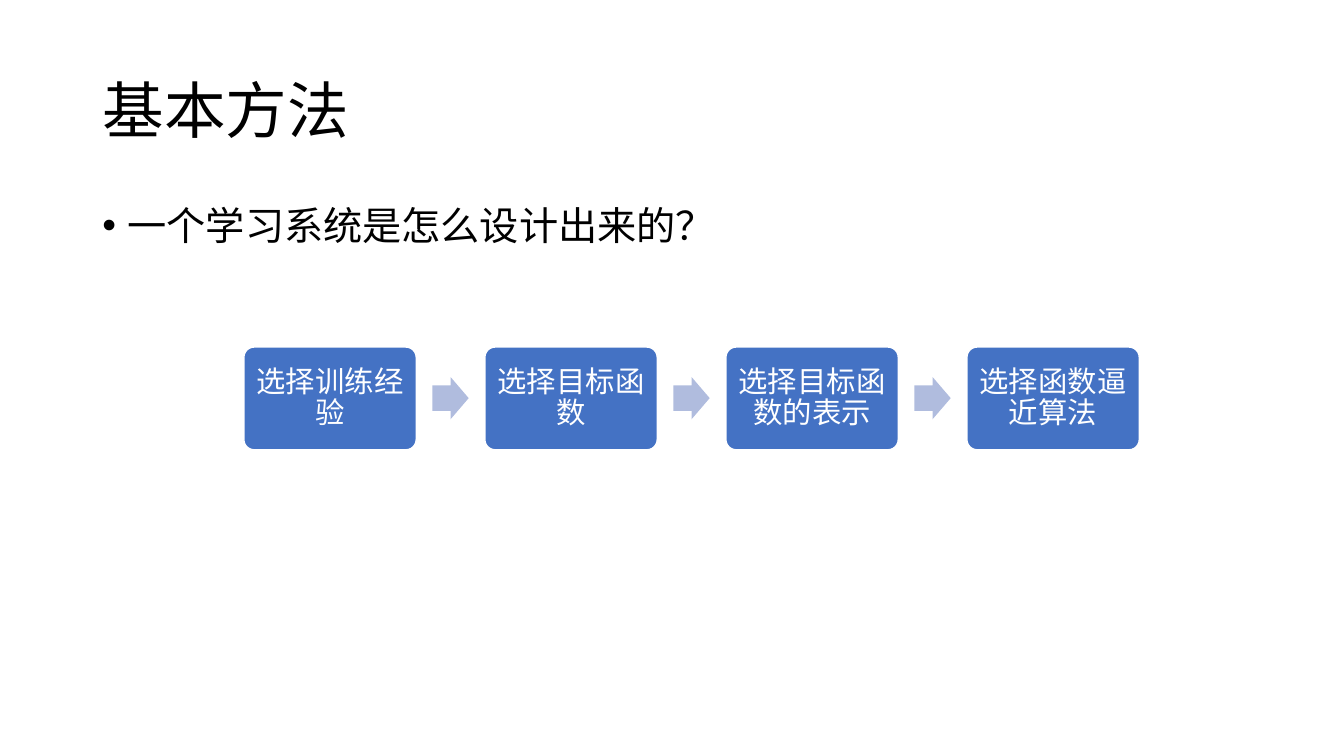
from dataclasses import dataclass

from lxml.etree import SubElement
from pptx import Presentation
from pptx.dml.color import RGBColor
from pptx.enum.shapes import MSO_SHAPE
from pptx.enum.text import MSO_ANCHOR, PP_ALIGN
from pptx.oxml.ns import qn
from pptx.shapes.base import BaseShape
from pptx.shapes.group import GroupShape
from pptx.text.text import _Paragraph as Paragraph
from pptx.util import Pt


@dataclass(frozen=True)
class Theme:
    font: str = "Calibri"
    text: RGBColor = RGBColor(0x00, 0x00, 0x00)
    light: RGBColor = RGBColor(0xFF, 0xFF, 0xFF)
    step: RGBColor = RGBColor(0x44, 0x72, 0xC4)
    arrow: RGBColor = RGBColor(0xB0, 0xBC, 0xDE)
    title_size: float = 44
    body_size: float = 28
    step_size: float = 21


@dataclass(frozen=True)
class Box:
    left: float
    top: float
    width: float
    height: float

    def shifted(self, distance: float) -> "Box":
        return Box(self.left + distance, self.top, self.width, self.height)


THEME = Theme()
TITLE_BOX = Box(66, 28.75, 828, 104.4)
BODY_BOX = Box(66, 143.75, 828, 342.6)
FIRST_STEP = Box(174.2, 247.9, 123.1, 73.4)
FIRST_ARROW = Box(308.9, 269.3, 25.9, 30.2)
STEP_PITCH = 172.15
STEP_INSET = 6.5
BULLET_INDENT = 18
STEPS = ("选择训练经验", "选择目标函数", "选择目标函数的表示", "选择函数逼近算法")


def place(shape: BaseShape, box: Box) -> None:
    shape.left, shape.top = Pt(box.left), Pt(box.top)
    shape.width, shape.height = Pt(box.width), Pt(box.height)


def write(paragraph: Paragraph, text: str, size: float, color: RGBColor,
          alignment: PP_ALIGN = PP_ALIGN.LEFT, space_before: float = 0) -> None:
    paragraph.alignment = alignment
    paragraph.line_spacing = 0.9
    paragraph.space_before = Pt(space_before)
    run = paragraph.add_run()
    run.text = text
    run.font.name = THEME.font
    run.font.size = Pt(size)
    run.font.color.rgb = color


def add_bullet(paragraph: Paragraph) -> None:
    properties = paragraph._p.get_or_add_pPr()
    properties.set("marL", str(Pt(BULLET_INDENT)))
    properties.set("indent", str(-Pt(BULLET_INDENT)))
    SubElement(properties, qn("a:buFont"), typeface="Arial")
    SubElement(properties, qn("a:buChar"), char="•")


def add_filled_shape(group: GroupShape, kind: MSO_SHAPE, box: Box,
                     color: RGBColor, adjustments: tuple[float, ...]) -> BaseShape:
    shape = group.shapes.add_shape(kind, Pt(box.left), Pt(box.top), Pt(box.width), Pt(box.height))
    for index, value in enumerate(adjustments):
        shape.adjustments[index] = value
    shape.shadow.inherit = False
    shape.fill.solid()
    shape.fill.fore_color.rgb = color
    shape.line.fill.background()
    return shape


def add_step(group: GroupShape, text: str, box: Box) -> None:
    shape = add_filled_shape(group, MSO_SHAPE.ROUNDED_RECTANGLE, box, THEME.step, (0.1,))
    shape.line.color.rgb = THEME.light
    shape.line.width = Pt(1)
    frame = shape.text_frame
    frame.word_wrap = True
    frame.vertical_anchor = MSO_ANCHOR.MIDDLE
    frame.margin_left = frame.margin_right = Pt(STEP_INSET)
    frame.margin_top = frame.margin_bottom = Pt(STEP_INSET)
    write(frame.paragraphs[0], text, THEME.step_size, THEME.light, PP_ALIGN.CENTER)


def main() -> None:
    presentation = Presentation()
    presentation.slide_width, presentation.slide_height = Pt(960), Pt(540)
    slide = presentation.slides.add_slide(presentation.slide_layouts[1])

    # Title
    title = slide.shapes.title
    place(title, TITLE_BOX)
    title.text_frame.vertical_anchor = MSO_ANCHOR.MIDDLE
    write(title.text_frame.paragraphs[0], "基本方法", THEME.title_size, THEME.text)

    # Question
    body = slide.placeholders[1]
    place(body, BODY_BOX)
    question = body.text_frame.paragraphs[0]
    write(question, "一个学习系统是怎么设计出来的？", THEME.body_size, THEME.text, space_before=10)
    add_bullet(question)

    # Process steps, with an arrow between neighbours
    process = slide.shapes.add_group_shape()
    for index, text in enumerate(STEPS):
        distance = index * STEP_PITCH
        add_step(process, text, FIRST_STEP.shifted(distance))
        if index < len(STEPS) - 1:
            add_filled_shape(process, MSO_SHAPE.RIGHT_ARROW, FIRST_ARROW.shifted(distance),
                             THEME.arrow, (0.6, 0.5))

    presentation.save("out.pptx")


if __name__ == "__main__":
    main()
